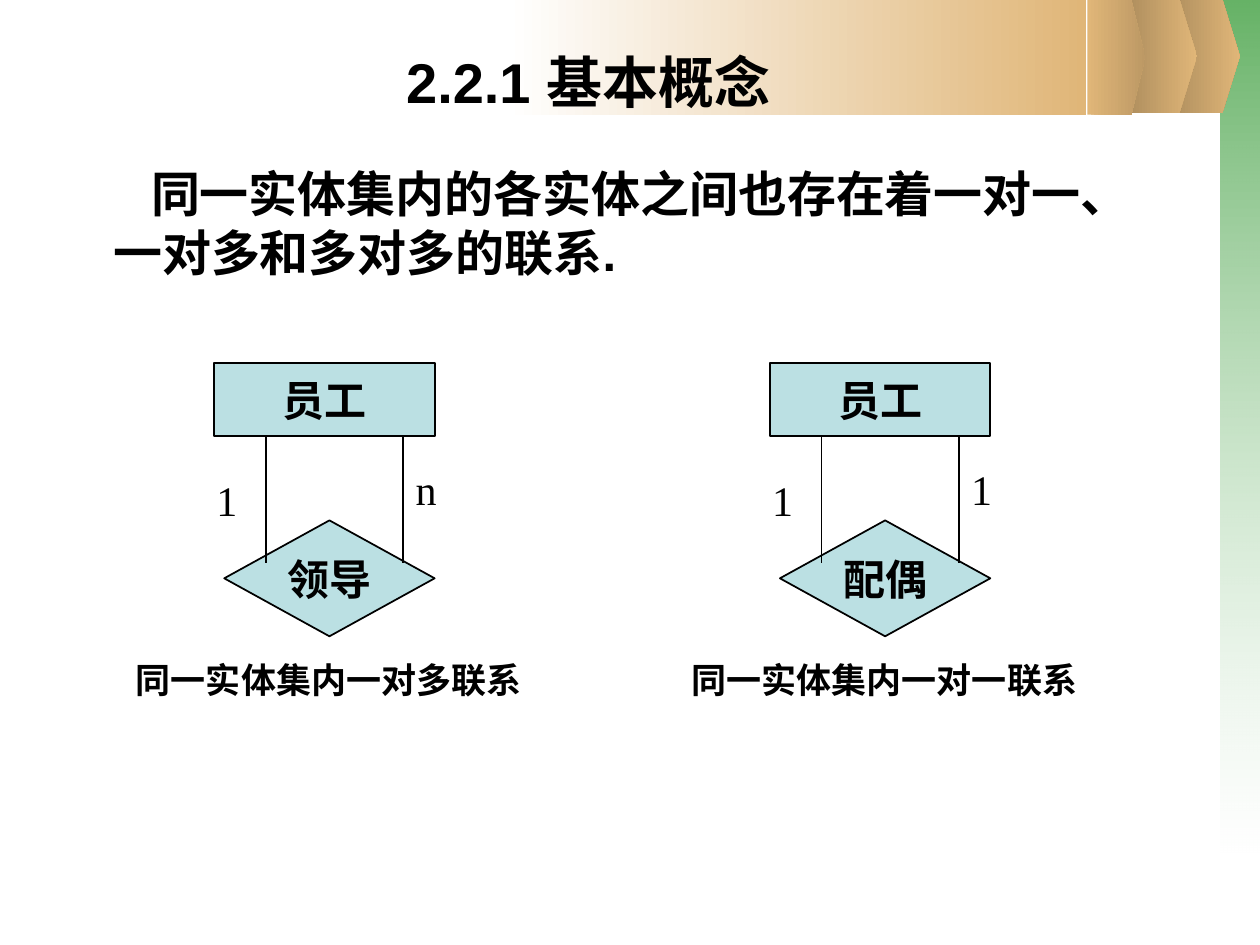
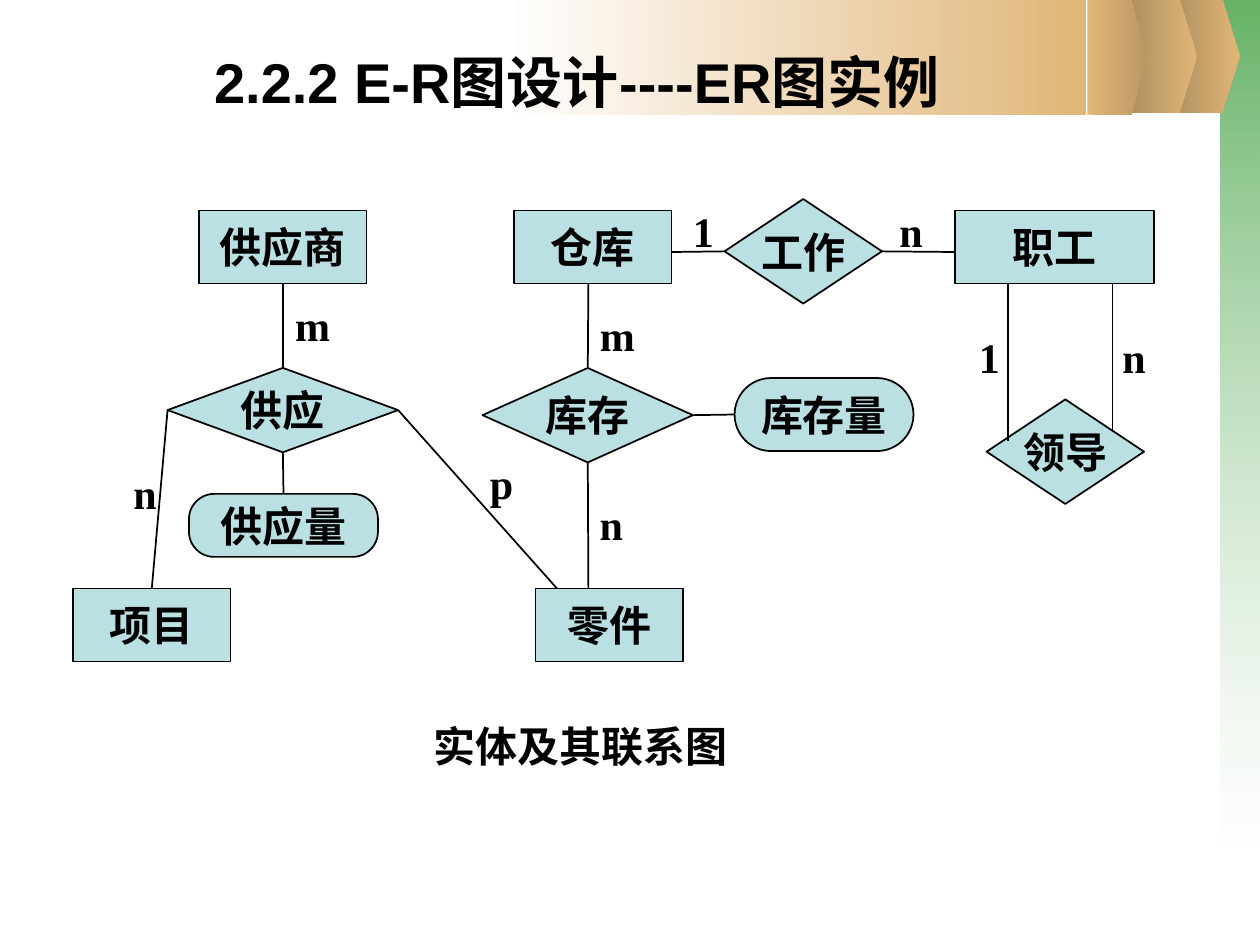
import pptx
import pptx.dml.color
import pptx.enum.shapes
import pptx.enum.text
import pptx.oxml
import pptx.oxml.ns
import pptx.util

Inches = pptx.util.Inches
Pt = pptx.util.Pt
KIND = pptx.enum.shapes.MSO_SHAPE
ALIGN = pptx.enum.text.PP_ALIGN
ANCHOR = pptx.enum.text.MSO_ANCHOR

INK = "000000"
PALE = "BBE0E3"
GREEN = "339933"
WHITE = "FFFFFF"
SAND = "E0B678"
BROWN = "AB8B5C"
UMBER = "BD9965"

TITLE = {"size": Pt(32), "name": "Arial", "bold": True}
BODY = {"size": Pt(28), "name": "Arial", "bold": True}
NODE = {"size": Pt(24), "name": "Times New Roman", "bold": True}
LIGHT = {**NODE, "bold": False}
SMALL = {**NODE, "size": Pt(20)}


def paint(code):
    """Turn a hex string into a colour."""
    return pptx.dml.color.RGBColor.from_string(code)


def write(shape, text, style, align=ALIGN.CENTER, anchor=ANCHOR.MIDDLE, wrap=False):
    """Put styled text into a shape and return its paragraph."""
    frame = shape.text_frame
    frame.word_wrap = wrap
    frame.vertical_anchor = anchor
    para = frame.paragraphs[0]
    para.alignment = align
    run = para.add_run()
    run.text = text
    for key, value in style.items():
        setattr(run.font, key, value)
    run.font.color.rgb = paint(INK)
    return para


def label(slide, text, left, top, width, height, style=NODE, **layout):
    """Add a text box and return its paragraph."""
    box = slide.shapes.add_textbox(*map(Inches, (left, top, width, height)))
    return write(box, text, style, **layout)


def node(slide, kind, text, left, top, width, height, round=None):
    """Add one pale, outlined element of an E-R diagram."""
    shape = slide.shapes.add_shape(kind, *map(Inches, (left, top, width, height)))
    if round is not None:
        shape.adjustments[0] = round
    shape.shadow.inherit = False
    shape.fill.solid()
    shape.fill.fore_color.rgb = paint(PALE)
    shape.line.color.rgb = paint(INK)
    shape.line.width = Pt(1)
    write(shape, text, NODE)
    return shape


def link(slide, start, end):
    """Draw a line between two ends, each a point or a (shape, side) pair."""
    points = [(0, 0) if hasattr(tip[0], "shape_id") else tip for tip in (start, end)]
    line = slide.shapes.add_connector(
        pptx.enum.shapes.MSO_CONNECTOR.STRAIGHT,
        *[Inches(value) for point in points for value in point])
    for tip, join in ((start, line.begin_connect), (end, line.end_connect)):
        if hasattr(tip[0], "shape_id"):
            join(*tip)
    line.line.color.rgb = paint(INK)
    line.line.width = Pt(1)
    pptx.oxml.ns.qn("a:effectLst")
    line._element.spPr.append(pptx.oxml.parse_xml(
        '<a:effectLst xmlns:a="http://schemas.openxmlformats.org/drawingml/2006/main"/>'))


def blend(shape, colours, angle=0, alphas=()):
    """Fill a borderless shape with a two-colour gradient."""
    shape.shadow.inherit = False
    shape.line.fill.background()
    shape.fill.gradient()
    shape.fill.gradient_angle = angle
    stops = list(shape.fill.gradient_stops)
    for stop, place, code in zip(stops, (0, 1), colours):
        stop.position = place
        stop.color.rgb = paint(code)
    tag = pptx.oxml.ns.qn("a:srgbClr")
    for tint, alpha in zip(shape._element.spPr.iter(tag), alphas):
        mark = tint.makeelement(pptx.oxml.ns.qn("a:alpha"), {"val": str(alpha * 1000)})
        tint.append(mark)


def band(slide, left, top, width, height, colours, angle=0, alphas=()):
    """Add a gradient rectangle."""
    shape = slide.shapes.add_shape(
        KIND.RECTANGLE, *map(Inches, (left, top, width, height)))
    blend(shape, colours, angle, alphas)


def arrow(slide, left, top, width, tip, colours):
    """Add a gradient block whose right side ends in a point."""
    high = 0.91
    right = left + width
    points = [(right, top), (right + tip, top + high / 2),
              (right, top + high), (left, top + high)]
    build = slide.shapes.build_freeform(Inches(left), Inches(top))
    build.add_line_segments([(Inches(x), Inches(y)) for x, y in points], close=True)
    blend(build.convert_to_shape(), colours)


def start(deck, title, left, height):
    """Add a slide with the shared bands and a title."""
    slide = deck.slides.add_slide(deck.slide_layouts[6])
    band(slide, 9.69, 0, 0.31, 6.77, (GREEN, WHITE), 270, (75, 37))
    for edge in (9.25, 8.91):
        arrow(slide, edge, -0.01, 0.45, 0.14, (BROWN, SAND))
    band(slide, 4.02, 0, 4.6, 0.91, (WHITE, SAND))
    arrow(slide, 8.63, 0, 0.35, 0.11, (SAND, UMBER))
    label(slide, title, left, 0.33, 8.5, height, TITLE, anchor=ANCHOR.TOP, wrap=True)
    return slide


def loop(slide, left, verb, count, note):
    """Draw an entity set related to itself, with a caption."""
    node(slide, KIND.RECTANGLE, "员工", left + 0.72, 2.88, 1.75, 0.58)
    node(slide, KIND.DIAMOND, verb, left + 0.8, 4.13, 1.67, 0.92)
    for shift in (1.13, 2.22):
        link(slide, (left + shift, 3.47), (left + shift, 4.47))
    label(slide, "1", left + 0.64, 3.72, 0.36, 0.5, LIGHT)
    label(slide, count, left + 2.22, 3.63, 0.36, 0.5, LIGHT)
    label(slide, note, left, 5.17, 3.68, 0.44, SMALL, align=ALIGN.LEFT, wrap=True)


def basics(deck):
    """Build the slide on relations inside one entity set."""
    slide = start(deck, "2.2.1 基本概念", 0.42, 0.67)
    para = label(slide, "同一实体集内的各实体之间也存在着一对一、一对多和多对多的联系.",
                 0.42, 1.25, 8.92, 1.17, BODY, align=ALIGN.LEFT,
                 anchor=ANCHOR.TOP, wrap=True)
    props = para._p.get_or_add_pPr()
    for key, value in {"marL": 0.38, "indent": 0.3}.items():
        props.set(key, str(Inches(value)))
    loop(slide, 0.98, "领导", "n", "同一实体集内一对多联系")
    loop(slide, 5.39, "配偶", "1", "同一实体集内一对一联系")


def sample(deck):
    """Build the slide with a whole E-R diagram."""
    slide = start(deck, "2.2.2 E-R图设计----ER图实例", 0.33, 0.58)

    vendor, project, part, store, staff = [
        node(slide, KIND.RECTANGLE, text, left, top, width, 0.58)
        for text, left, top, width in (
            ("供应商", 1.58, 1.67, 1.33), ("项目", 0.58, 4.67, 1.25),
            ("零件", 4.25, 4.67, 1.17), ("仓库", 4.08, 1.67, 1.25),
            ("职工", 7.58, 1.67, 1.58))]
    supply, stock, lead, work = [
        node(slide, KIND.DIAMOND, *item) for item in (
            ("供应", 1.33, 2.92, 1.83, 0.67), ("库存", 3.83, 2.92, 1.67, 0.75),
            ("领导", 7.83, 3.17, 1.25, 0.83), ("工作", 5.75, 1.58, 1.25, 0.83))]
    amount, level = [
        node(slide, KIND.ROUNDED_RECTANGLE, *item) for item in (
            ("供应量", 1.5, 3.92, 1.5, 0.5, 0.4),
            ("库存量", 5.83, 3, 1.42, 0.58, 0.5))]

    for ends in (
            ((vendor, 2), (supply, 0)), ((supply, 1), (project, 0)),
            ((supply, 2), (amount, 0)), ((supply, 3), (4.42, 4.67)),
            ((stock, 0), (4.67, 2.25)), ((stock, 2), (4.67, 4.67)),
            ((stock, 3), (level, 1)), ((work, 1), (5.33, 2)),
            ((work, 3), (7.58, 2)), ((8, 2.25), (8, 3.5)),
            ((8.83, 2.25), (8.83, 3.42))):
        link(slide, *ends)

    widths = {"1": 0.36, "n": 0.38, "p": 0.38, "m": 0.48}
    for text, left, top in (
            ("n", 0.96, 3.66), ("m", 2.24, 2.33), ("p", 3.79, 3.58),
            ("m", 4.66, 2.41), ("n", 4.66, 3.91), ("1", 5.4, 1.58),
            ("n", 7.04, 1.58), ("1", 7.67, 2.58), ("n", 8.81, 2.58)):
        label(slide, text, left, top, widths[text], 0.5)
    label(slide, "实体及其联系图", 3.34, 5.67, 2.53, 0.5)


def main():
    """Build and save the deck."""
    deck = pptx.Presentation()
    deck.slide_width = Inches(10)
    deck.slide_height = Inches(7.5)
    basics(deck)
    sample(deck)
    deck.save("out.pptx")


if __name__ == "__main__":
    main()
